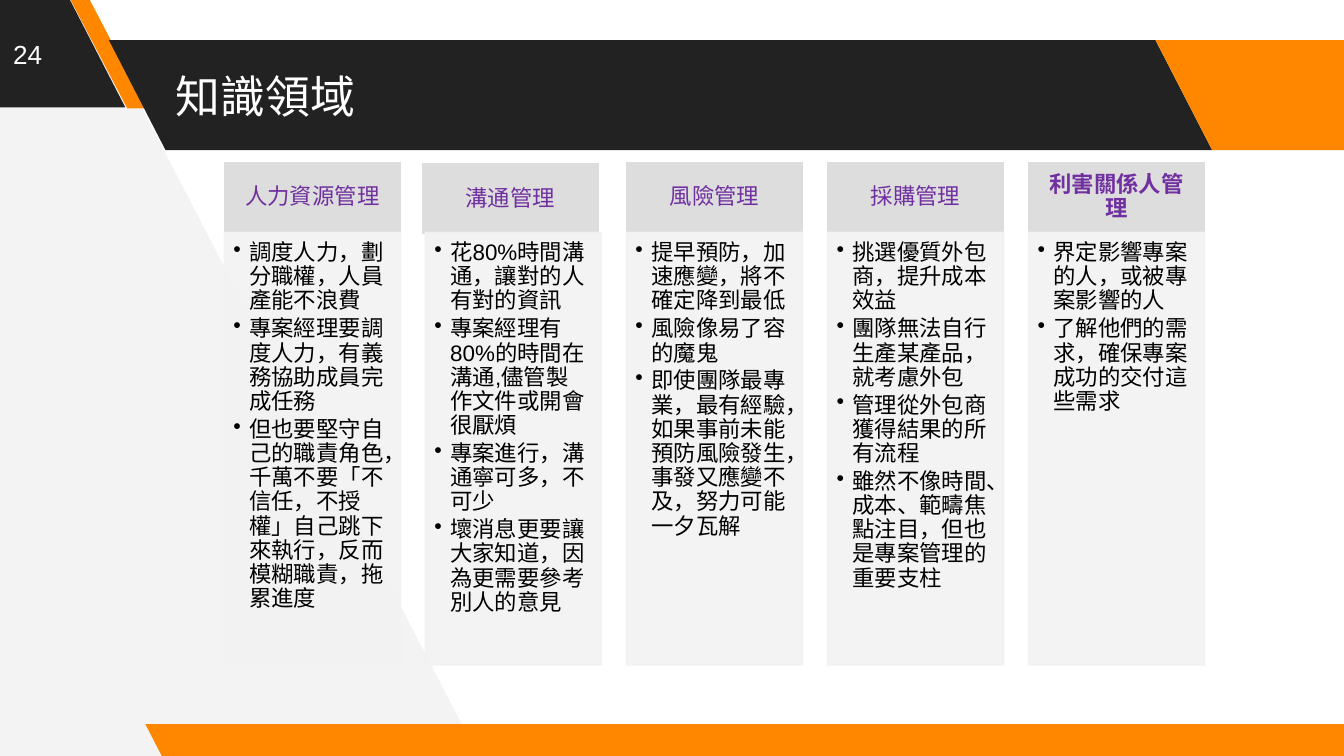
from lxml import etree
from pptx import Presentation, util as u
from pptx.dml.color import RGBColor
from pptx.enum import shapes, text
from pptx.oxml.ns import qn

HUES = {"dark": "222222", "orange": "FF8700", "pale": "F3F3F3", "white": "FFFFFF",
        "head": "DDDDDD", "body": "F2F2F2", "purple": "7030A0", "black": "000000"}


class Deck:
    font = "Arial"

    def __init__(self, wide, high):
        self.prs = Presentation()
        self.prs.slide_width, self.prs.slide_height = u.Cm(wide), u.Cm(high)
        self.slide = self.prs.slides.add_slide(self.prs.slide_layouts[6])

    def hue(self, name):
        return RGBColor.from_string(HUES[name])

    def paint(self, shape, fill, edge=False):
        shape.shadow.inherit = False
        shape.fill.solid()
        shape.fill.fore_color.rgb = self.hue(fill)
        if edge:
            shape.line.color.rgb = self.hue(fill)
            shape.line.width = u.Pt(0.75)
        else:
            shape.line.fill.background()

    def wedge(self, points, fill):
        dots = [(u.Cm(x), u.Cm(y)) for x, y in points]
        form = self.slide.shapes.build_freeform(*dots[0])
        form.add_line_segments(dots[1:], close=True)
        self.paint(form.convert_to_shape(), fill)

    def slant(self, box, fill, skew=0.515):
        shape = self.slide.shapes.add_shape(
            shapes.MSO_SHAPE.PARALLELOGRAM, *map(u.Cm, box))
        shape.adjustments[0] = skew
        shape._element.spPr.xfrm.set("flipH", "1")
        self.paint(shape, fill)

    def panel(self, box, fill, alpha=None):
        shape = self.slide.shapes.add_shape(
            shapes.MSO_SHAPE.RECTANGLE, *map(u.Cm, box))
        self.paint(shape, fill, edge=True)
        if alpha:
            for clr in shape._element.spPr.iter(qn("a:srgbClr")):
                etree.SubElement(clr, qn("a:alpha"), val=str(alpha * 1000))
        return shape

    def label(self, box, words, size):
        shape = self.slide.shapes.add_textbox(*map(u.Cm, box))
        self.letter(shape, [words], size, "white", [0.25] * 4)

    def letter(self, shape, lines, size, color, pad, bold=False, align="LEFT",
               anchor="MIDDLE", space=None, bullet=False):
        frame = shape.text_frame
        frame.word_wrap = True
        frame.vertical_anchor = text.MSO_ANCHOR[anchor]
        (frame.margin_left, frame.margin_top,
         frame.margin_right, frame.margin_bottom) = map(u.Cm, pad)
        frame.text = "\n".join(lines)
        for para in frame.paragraphs:
            para.alignment = text.PP_ALIGN[align]
            if space is not None:
                para.line_spacing = 0.9
                para.space_after = u.Pt(space)
            if bullet:
                props = para._p.get_or_add_pPr()
                props.set("marL", str(u.Cm(0.3)))
                props.set("indent", str(u.Cm(-0.3)))
                etree.SubElement(props, qn("a:buChar"), char="•")
            for run in para.runs:
                font = run.font
                font.name, font.size, font.bold = self.font, u.Pt(size), bold
                font.color.rgb = self.hue(color)
                etree.SubElement(run._r.rPr, qn("a:ea"), typeface=self.font)

    def column(self, left, top, head, items, shift=(0, 0), bold=False):
        wide, high = 3.33, 1.32
        bar = self.panel((left + shift[0], top + shift[1], wide, high), "head")
        self.letter(bar, [head], 12, "purple", (0.23, 0.13, 0.23, 0.13),
                    bold, "CENTER", space=0)
        card = self.panel((left, top + high, wide, 8.18), "body", alpha=90)
        self.letter(card, items, 12, "black", (0.17, 0.17, 0.24, 0.25),
                    anchor="TOP", space=2, bullet=True)


AREAS = [
    ("人力資源管理", ["調度人力，劃分職權，人員產能不浪費",
                "專案經理要調度人力，有義務協助成員完成任務",
                "但也要堅守自己的職責角色，千萬不要「不信任，不授權」"
                "自己跳下來執行，反而模糊職責，拖累進度"], {}),
    ("溝通管理", ["花80%時間溝通，讓對的人有對的資訊",
              "專案經理有80%的時間在溝通,儘管製作文件或開會很厭煩",
              "專案進行，溝通寧可多，不可少",
              "壞消息更要讓大家知道，因為更需要參考別人的意見"],
     {"shift": (-0.06, 0.03)}),
    ("風險管理", ["提早預防，加速應變，將不確定降到最低",
              "風險像易了容的魔鬼",
              "即使團隊最專業，最有經驗，如果事前未能預防風險發生，"
              "事發又應變不及，努力可能一夕瓦解"], {}),
    ("採購管理", ["挑選優質外包商，提升成本效益",
              "團隊無法自行生產某產品，就考慮外包",
              "管理從外包商獲得結果的所有流程",
              "雖然不像時間、成本、範疇焦點注目，但也是專案管理的重要支柱"], {}),
    ("利害關係人管理", ["界定影響專案的人，或被專案影響的人",
                 "了解他們的需求，確保專案成功的交付這些需求"], {"bold": True}),
]


def main():
    deck = Deck(25.4, 14.29)

    # Backdrop
    deck.wedge([(9.04, 14.29), (1.57, -0.1), (-0.15, -0.1), (-0.05, 14.38)], "pale")
    deck.slant((-2.51, -0.05, 4.88, 2.08), "dark")
    deck.slant((1.32, -0.03, 1.45, 2.08), "orange", 0.75)
    deck.slant((2.06, 0.76, 20.85, 2.08), "dark")
    deck.slant((21.84, 0.76, 4.88, 2.08), "orange")
    deck.slant((2.75, 13.69, 23.24, 0.64), "orange")

    # Title and page number
    deck.label((3.07, 0.76, 18.67, 2.08), "知識領域", 24)
    deck.label((0, 0, 1.65, 2.03), "24", 14)

    # Knowledge areas
    for i, (head, items, style) in enumerate(AREAS):
        deck.column(4.24 + 3.8 * i, 3.07, head, items, **style)

    deck.prs.save("out.pptx")


if __name__ == "__main__":
    main()
